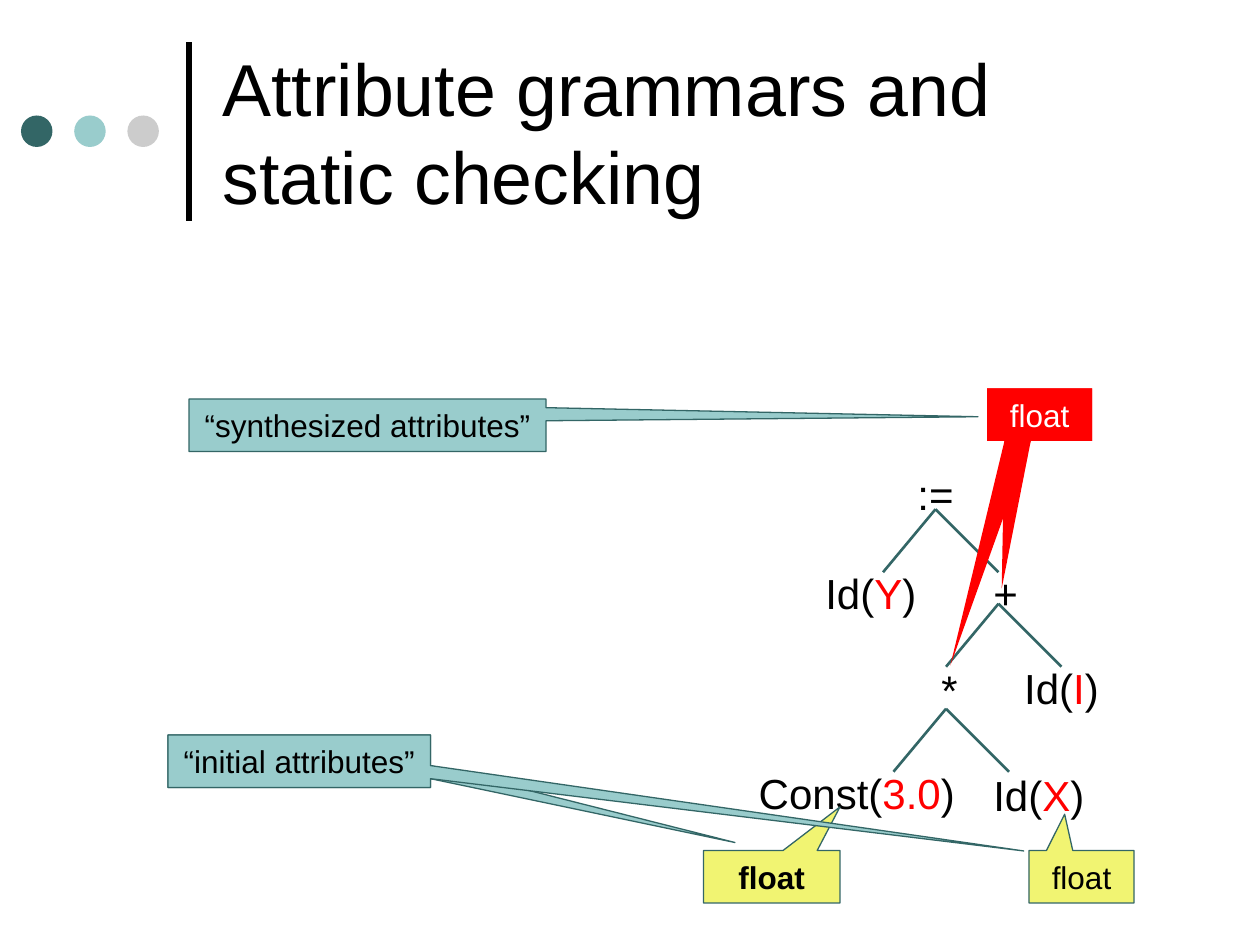
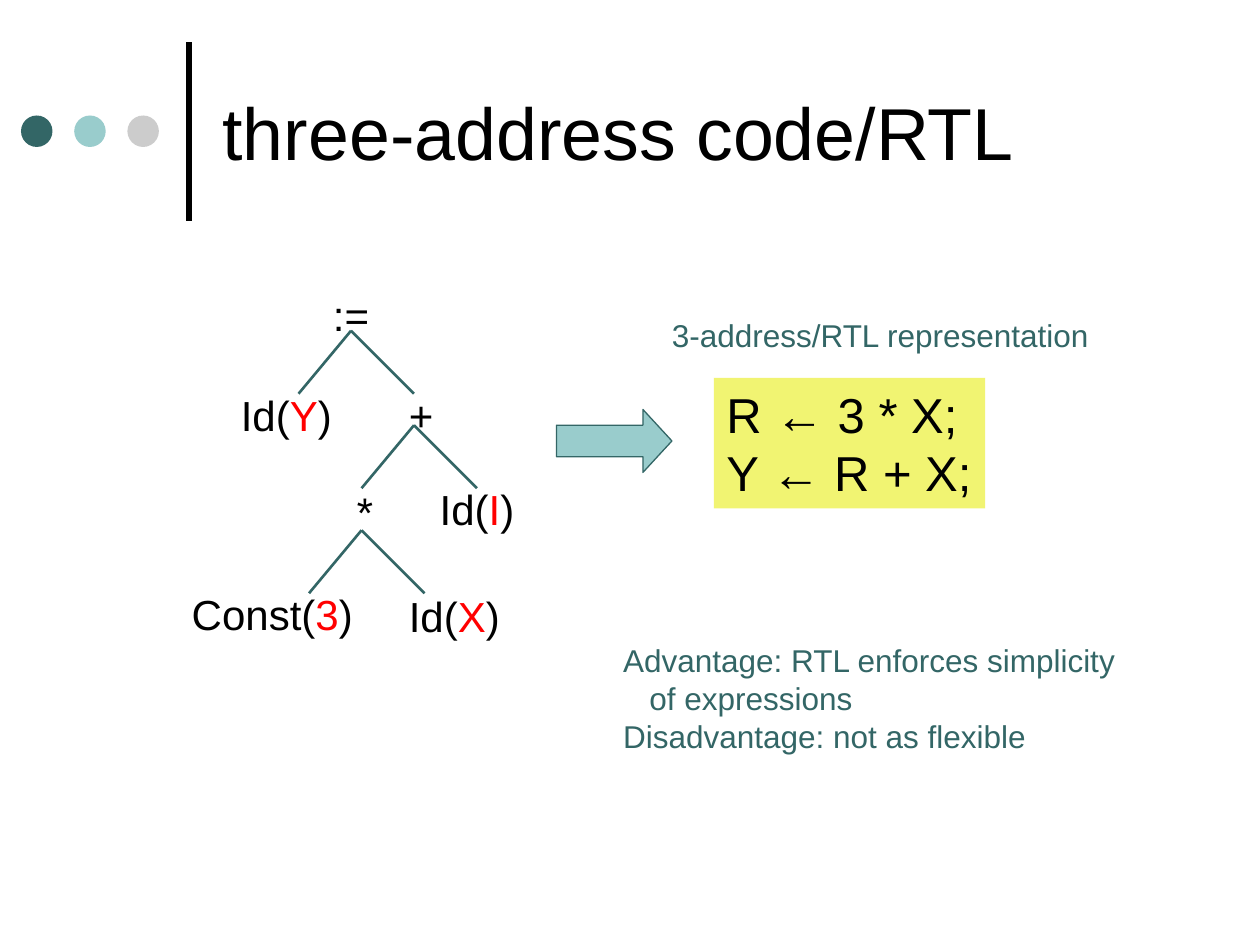
from lxml.etree import SubElement
from pptx import Presentation
from pptx.dml.color import RGBColor
from pptx.enum.shapes import MSO_CONNECTOR, MSO_SHAPE
from pptx.enum.text import MSO_ANCHOR, MSO_AUTO_SIZE, PP_ALIGN
from pptx.oxml.ns import qn
from pptx.util import Pt

BLACK, WHITE, RED = "000000", "FFFFFF", "FF0000"
TEAL, AQUA, GREY, YELLOW = "336666", "99CCCC", "CCCCCC", "F1F472"


def color(value):
    return RGBColor.from_string(value)


class Lecture:
    font = "Arial"

    def __init__(self):
        self.deck = Presentation()
        self.deck.slide_width, self.deck.slide_height = Pt(720), Pt(540)
        self.slide = None

    def add_slide(self, title):
        self.slide = self.deck.slides.add_slide(self.deck.slide_layouts[5])
        self.line(108, 126, 108, 24, BLACK, 3)
        for index, fill in enumerate((TEAL, AQUA, GREY)):
            self.shape(MSO_SHAPE.OVAL, (12 + index * 30.4, 66, 18, 18), fill)
        box = self.slide.shapes.title
        box.left, box.top, box.width, box.height = Pt(120), Pt(15), Pt(552), Pt(120)
        box.text_frame.text = title
        box.text_frame.vertical_anchor = MSO_ANCHOR.MIDDLE
        self.style(box.text_frame, 42, BLACK, PP_ALIGN.LEFT)

    def style(self, frame, size, ink, align, bold=False, font=font):
        for para in frame.paragraphs:
            para.alignment = align
            para.line_spacing = Pt(size * 1.2)
            for run in para.runs:
                run.font.name, run.font.size, run.font.bold = font, Pt(size), bold
                run.font.color.rgb = color(ink)

    def line(self, x1, y1, x2, y2, ink=TEAL, width=1.5):
        line = self.slide.shapes.add_connector(
            MSO_CONNECTOR.STRAIGHT, Pt(x1), Pt(y1), Pt(x2), Pt(y2))
        line.line.color.rgb = color(ink)
        line.line.width = Pt(width)
        SubElement(line._element.spPr, qn("a:effectLst"))

    def shape(self, kind, place, fill, outline=None, adjustments=()):
        shape = self.slide.shapes.add_shape(kind, *map(Pt, place))
        shape.shadow.inherit = False
        shape.fill.solid()
        shape.fill.fore_color.rgb = color(fill)
        if outline:
            shape.line.color.rgb = color(outline)
            shape.line.width = Pt(0.75)
        else:
            shape.line.fill.background()
        for index, value in enumerate(adjustments):
            shape.adjustments[index] = value
        return shape

    def callout(self, text, place, tip, fill, outline=TEAL, ink=BLACK, bold=False):
        shape = self.shape(MSO_SHAPE.RECTANGULAR_CALLOUT, place, fill, outline, tip)
        shape.text_frame.text = text
        shape.text_frame.word_wrap = False
        self.style(shape.text_frame, 18, ink, PP_ALIGN.CENTER, bold)

    def text(self, text, place, size, ink=BLACK, align=PP_ALIGN.LEFT, fill=None, font=font):
        box = self.slide.shapes.add_textbox(*map(Pt, place))
        box.text_frame.text = text
        box.text_frame.word_wrap = False
        box.text_frame.auto_size = MSO_AUTO_SIZE.SHAPE_TO_FIT_TEXT
        if fill:
            box.fill.solid()
            box.fill.fore_color.rgb = color(fill)
        self.style(box.text_frame, size, ink, align, font=font)
        return box

    def node(self, center, top, width, label, value=None, font=font):
        parts = [f"{label}(", value, ")"] if value else [label]
        place = (center - width / 2, top, width, 36)
        box = self.text(parts[0], place, 24, align=PP_ALIGN.CENTER, font=font)
        para = box.text_frame.paragraphs[0]
        for part in parts[1:]:
            para.add_run().text = part
        self.style(box.text_frame, 24, BLACK, PP_ALIGN.CENTER, font=font)
        if value:
            para.runs[1].font.color.rgb = color(RED)

    def tree(self, x, y, constant, constant_width):
        self.node(x, y - 27, 36, ":=")
        self.node(x - 37, y + 30, 68, "Id", "Y")
        self.node(x + 40, y + 30, 29, "+")
        self.node(x + 8, y + 86, 29, "*", font="Courier New")
        self.node(x + 72, y + 84, 58, "Id", "I")
        self.node(x - 45, y + 144, constant_width, "Const", constant)
        self.node(x + 59, y + 145, 68, "Id", "X")
        for across, down in ((0, 0), (36, 54), (6, 114)):
            for reach in (-30, 36):
                start_x, start_y = x + across, y + down
                self.line(start_x, start_y, start_x + reach, start_y + 36)


lecture = Lecture()

lecture.add_slide("Attribute grammars and static checking")
lecture.tree(534.6, 291, "3.0", 128)
lecture.callout("float", (402, 486, 78, 30), (0.5, -1.33), YELLOW, bold=True)
lecture.callout("float", (588, 486, 60, 30), (-0.16, -1.19), YELLOW)
result = (564, 222, 60, 30)
lecture.callout("float", result, (-0.85, 4.78), RED, outline=None)
lecture.callout("float", result, (-0.36, 3.31), RED, outline=None, ink=WHITE)
initial = (96, 420, 150, 30)
lecture.callout("“initial attributes”", initial, (1.66, 1.55), AQUA)
lecture.callout("“synthesized attributes”", (108, 228, 204, 30), (1.71, -0.16), AQUA)
lecture.callout("“initial attributes”", initial, (2.76, 1.71), AQUA)

lecture.add_slide("three-address code/RTL")
lecture.tree(200.6, 189, "3", 108)
lecture.text("R ← 3 * X;\nY ← R + X;", (408, 216, 155, 74.5), 28, fill=YELLOW)
remarks = lecture.text(
    "Advantage: RTL enforces simplicity\nof expressions\nDisadvantage: not as flexible",
    (349, 363, 297, 72), 18, TEAL)
remarks.text_frame.paragraphs[1]._p.get_or_add_pPr().set("marL", str(Pt(15)))
lecture.shape(MSO_SHAPE.RIGHT_ARROW, (318, 234, 66, 36), AQUA, TEAL, (0.5, 0.46))
lecture.text("3-address/RTL representation", (376, 177, 254, 29), 18, TEAL, PP_ALIGN.CENTER)

lecture.deck.save("out.pptx")
